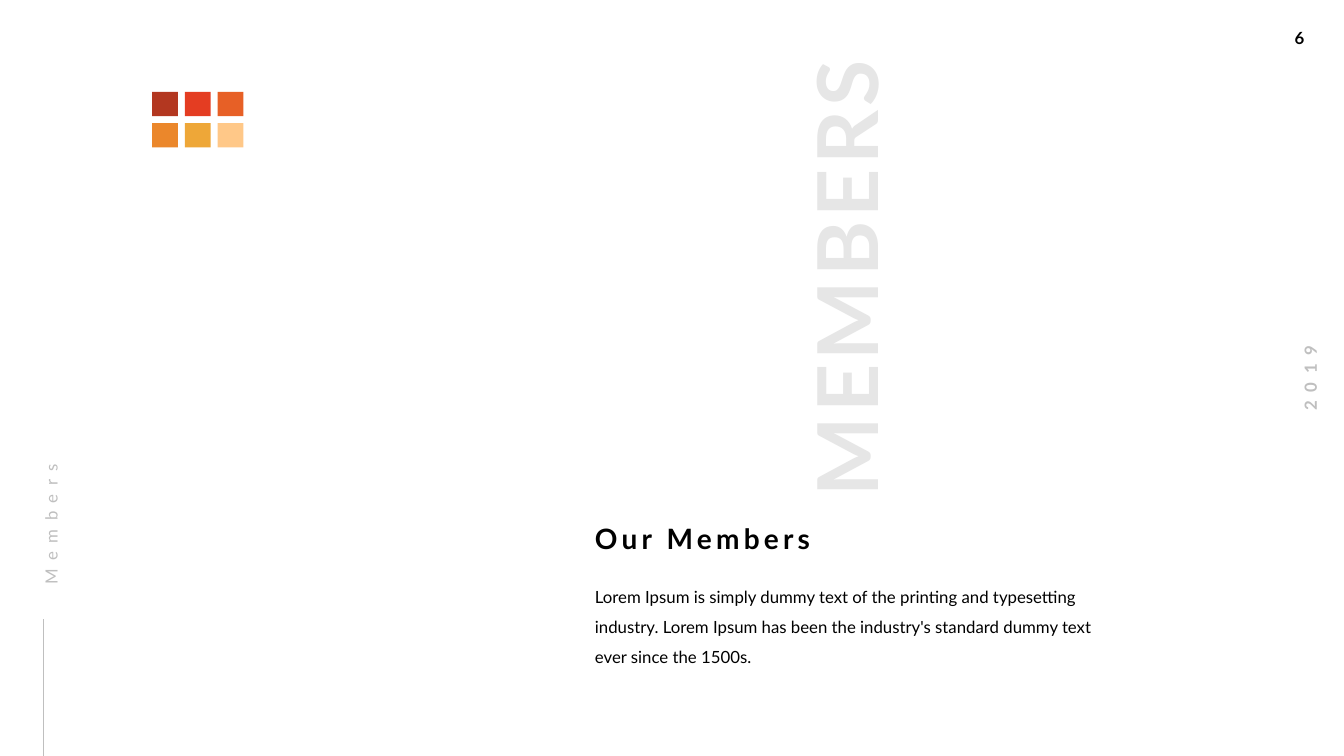
from dataclasses import dataclass

from lxml.etree import SubElement
from pptx import Presentation
from pptx.dml.color import RGBColor as Rgb
from pptx.enum.shapes import MSO_CONNECTOR as Connector, MSO_SHAPE as Shape
from pptx.enum.text import MSO_AUTO_SIZE as AutoSize, PP_ALIGN as Align
from pptx.oxml.ns import qn
from pptx.util import Pt


@dataclass(frozen=True)
class Theme:
    font: str = "Lato"
    ink: str = "000000"
    muted: str = "BFBFBF"
    ghost: str = "E6E6E6"
    swatches: tuple = (("B33720", "E43D22", "E76026"),
                       ("EB872B", "EEA738", "FFC888"))
    small: int = 12
    heading: int = 20
    display: int = 60


class SlidePainter:
    def __init__(self, page, theme):
        self.page = page
        self.theme = theme

    def text(self, words, place, size=None, color=None, bold=False, spacing=0,
             line_spacing=None, align=Align.LEFT, rotation=0, wrap=True,
             padded=False):
        """Add a one-paragraph text box; spacing is the gap between letters."""
        box = self.page.shapes.add_textbox(*map(Pt, place))
        box.rotation = rotation
        frame = box.text_frame
        settings = {"word_wrap": wrap, "auto_size": AutoSize.SHAPE_TO_FIT_TEXT}
        if not padded:
            settings |= {"margin_left": 0, "margin_top": 0, "margin_bottom": 0}
        for name, value in settings.items():
            setattr(frame, name, value)
        para = frame.paragraphs[0]
        para.alignment = align
        para.line_spacing = line_spacing
        span = para.add_run()
        span.text = words
        font_format = {"name": self.theme.font, "bold": bold,
                       "size": Pt(size or self.theme.small)}
        for name, value in font_format.items():
            setattr(span.font, name, value)
        span.font.color.rgb = Rgb.from_string(color or self.theme.ink)
        if spacing:
            span.font._element.set("spc", str(spacing * 100))

    def rectangle(self, place, color):
        box = self.page.shapes.add_shape(Shape.RECTANGLE, *map(Pt, place))
        box.shadow.inherit = False
        box.fill.solid()
        box.fill.fore_color.rgb = Rgb.from_string(color)
        box.line.fill.background()

    def line(self, ends, color, width):
        rule = self.page.shapes.add_connector(Connector.STRAIGHT, *map(Pt, ends))
        rule.line.color.rgb = Rgb.from_string(color)
        rule.line.width = Pt(width)
        SubElement(rule._element.spPr, qn("a:effectLst"))

    def swatch_grid(self, left, top, width, height, step_x, step_y):
        for row, colors in enumerate(self.theme.swatches):
            for column, color in enumerate(colors):
                self.rectangle((left + column * step_x, top + row * step_y,
                                width, height), color)


def main():
    deck = Presentation()
    deck.slide_width, deck.slide_height = Pt(960), Pt(540)
    theme = Theme()
    painter = SlidePainter(deck.slides.add_slide(deck.slide_layouts[6]), theme)

    painter.text("6", (917.7, 16.2, 29.5, 21.6), bold=True, wrap=False, padded=True)
    painter.text("2019", (902.5, 259.2, 67, 21.6), color=theme.muted, bold=True,
                 spacing=6, align=Align.CENTER, rotation=270, wrap=False, padded=True)

    painter.text("MEMBERS", (438.3, 159.2, 330, 72), size=theme.display,
                 color=theme.ghost, bold=True, spacing=3, align=Align.CENTER,
                 rotation=270, wrap=False)
    painter.text("Our Members", (425, 372.2, 185, 24.5), size=theme.heading,
                 bold=True, spacing=3)
    painter.text("Lorem Ipsum is simply dummy text of the printing and typesetting "
                 "industry. Lorem Ipsum has been the industry's standard dummy text "
                 "ever since the 1500s.",
                 (425, 411.8, 369.4, 62.6), line_spacing=1.5)

    painter.line((31, 540, 31, 442), theme.muted, 0.5)
    painter.text("Members", (-35.3, 341.3, 133.2, 18.7), color=theme.muted,
                 spacing=6, line_spacing=1.5, rotation=270)
    painter.swatch_grid(108.6, 65.7, 18.5, 17.3, step_x=23.4, step_y=22.3)

    deck.save("out.pptx")


if __name__ == "__main__":
    main()
